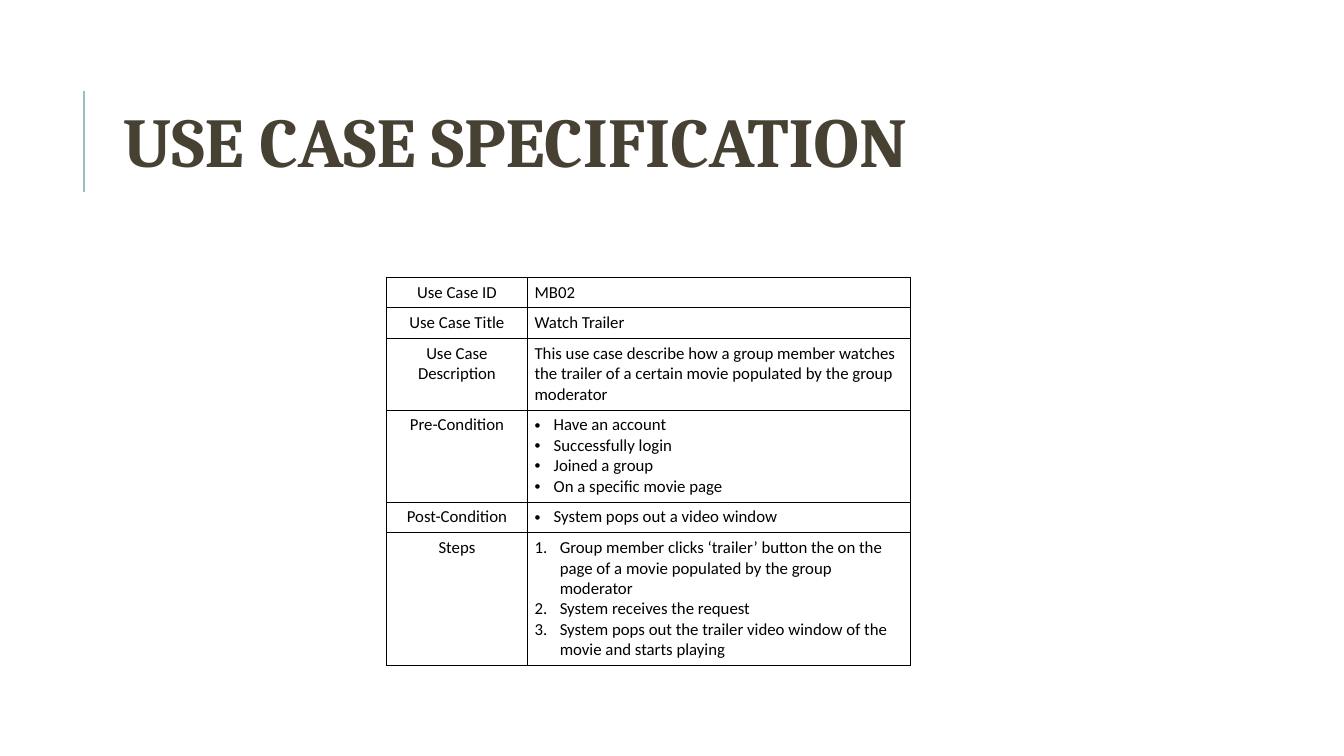
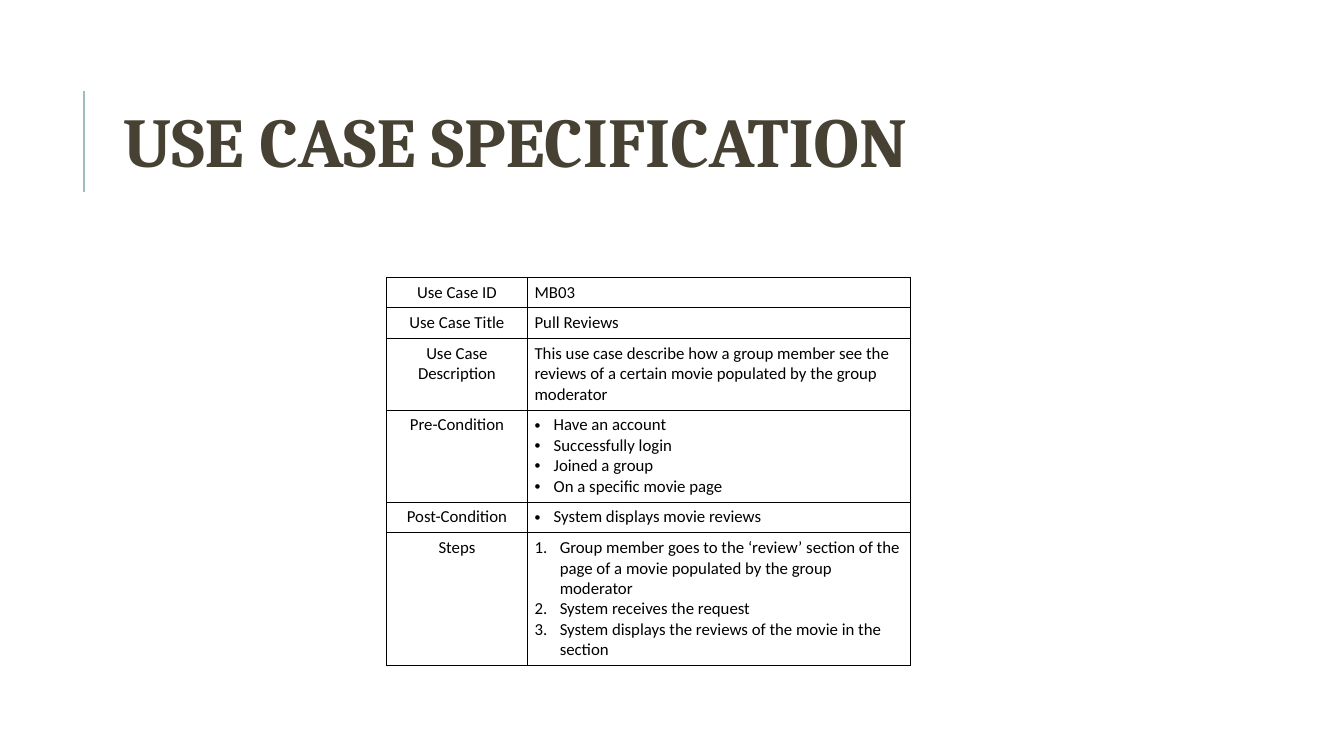
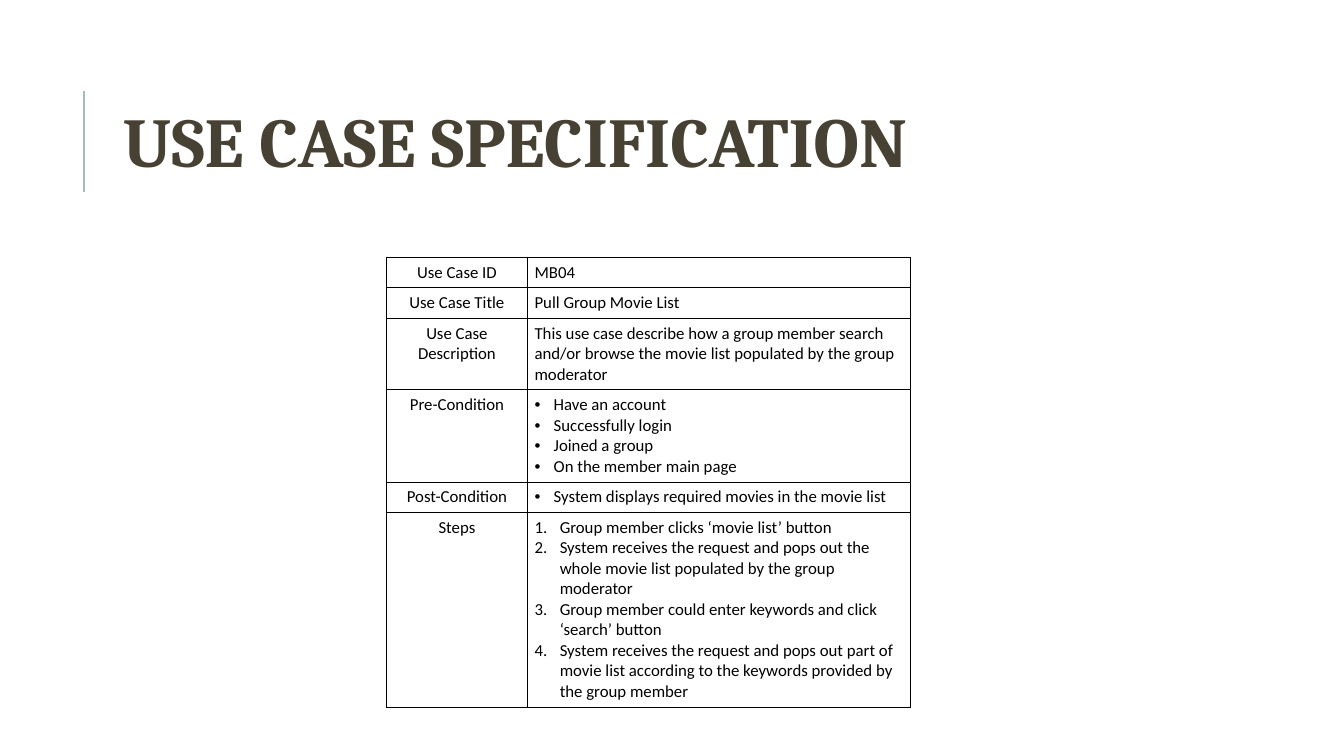
from dataclasses import dataclass

from lxml import etree
from pptx import Presentation
from pptx.dml.color import RGBColor
from pptx.enum.shapes import MSO_CONNECTOR
from pptx.enum.text import MSO_ANCHOR, MSO_AUTO_SIZE, PP_ALIGN
from pptx.oxml.ns import qn
from pptx.util import Inches, Pt

STRAIGHT = MSO_CONNECTOR.STRAIGHT
LEFT, CENTER = PP_ALIGN.LEFT, PP_ALIGN.CENTER
TOP, MIDDLE = MSO_ANCHOR.TOP, MSO_ANCHOR.MIDDLE
FIXED_SIZE = MSO_AUTO_SIZE.NONE


@dataclass(frozen=True)
class Theme:
    background: str = "FFFFFF"
    title_color: str = "464132"
    accent: str = "9CBEBD"
    ink: str = "000000"
    title_font: str = "Cambria"
    body_font: str = "Calibri"
    title_size: float = 50
    body_size: float = 12
    accent_width: float = 1.5
    border_width: float = 0.5


@dataclass(frozen=True)
class Box:
    """A region in grid units: columns across, rows down."""
    left: float
    top: float
    width: float
    height: float = 0

    def place(self):
        return [cells(n) for n in (self.left, self.top, self.width, self.height)]


THEME = Theme()

# The slide is 80 columns by 45 rows of square grid cells
COLUMNS, ROWS = 80, 45
CELL = Inches(7.5) / ROWS
TITLE_BOX = Box(6.72, 3.84, 63.78, 9.84)
RULE_BOX = Box(5, 5.4, 0, 6)
LABEL_WIDTH, VALUE_WIDTH = 8.4, 22.8
LINE_HEIGHT, ROW_PADDING = 1.2, 0.6

# List styles: bullet element, its attributes, hanging indent in inches
LISTS = {
    "bullet": ("a:buChar", {"char": "•"}, 0.19),
    "number": ("a:buAutoNum", {"type": "arabicPeriod"}, 0.25),
}

# Label, list style and number of text lines of each row; steps vary in length
FIELDS = [
    ("Use Case ID", None, 1),
    ("Use Case Title", None, 1),
    ("Use Case Description", None, 3),
    ("Pre-Condition", "bullet", 4),
    ("Post-Condition", "bullet", 1),
    ("Steps", "number", None),
]

SHARED_CONDITIONS = ["Have an account", "Successfully login", "Joined a group"]

# Table top, lines in the steps row, and the values by field
USE_CASES = [
    (16.5, 6, [
        ["MB02"],
        ["Watch Trailer"],
        ["This use case describe how a group member watches the trailer of "
         "a certain movie populated by the group moderator"],
        SHARED_CONDITIONS + ["On a specific movie page"],
        ["System pops out a video window"],
        ["Group member clicks ‘trailer’ button the on the page of a movie "
         "populated by the group moderator",
         "System receives the request",
         "System pops out the trailer video window of the movie and starts playing"],
    ]),
    (16.5, 6, [
        ["MB03"],
        ["Pull Reviews"],
        ["This use case describe how a group member see the reviews of "
         "a certain movie populated by the group moderator"],
        SHARED_CONDITIONS + ["On a specific movie page"],
        ["System displays movie reviews"],
        ["Group member goes to the ‘review’ section of the page of a movie "
         "populated by the group moderator",
         "System receives the request",
         "System displays the reviews of the movie in the section"],
    ]),
    (15.3, 9, [
        ["MB04"],
        ["Pull Group Movie List"],
        ["This use case describe how a group member search and/or browse "
         "the movie list populated by the group moderator"],
        SHARED_CONDITIONS + ["On the member main page"],
        ["System displays required movies in the movie list"],
        ["Group member clicks ‘movie list’ button",
         "System receives the request and pops out the whole movie list "
         "populated by the group moderator",
         "Group member could enter keywords and click ‘search’ button",
         "System receives the request and pops out part of movie list "
         "according to the keywords provided by the group member"],
    ]),
]


def cells(count):
    return round(count * CELL)


def color(value):
    return RGBColor.from_string(value)


def write(frame, lines, *, size=THEME.body_size, font=THEME.body_font,
          ink=THEME.ink, bold=False, align=LEFT, spacing=None, list_style=None):
    """Fill a text frame, one paragraph for each line."""
    for index, line in enumerate(lines):
        para = frame.add_paragraph() if index else frame.paragraphs[0]
        para.alignment = align
        para.line_spacing = spacing
        span = para.add_run()
        span.text = line
        span.font.size, span.font.name = Pt(size), font
        span.font.bold = bold
        span.font.color.rgb = color(ink)
        if list_style:
            add_list_mark(para, *LISTS[list_style])


def add_list_mark(para, tag, attributes, indent):
    properties = para._p.get_or_add_pPr()
    properties.set("marL", str(Inches(indent)))
    properties.set("indent", str(-Inches(indent)))
    mark_color = etree.SubElement(properties, qn("a:buClr"))
    etree.SubElement(mark_color, qn("a:srgbClr"), val=THEME.ink)
    etree.SubElement(properties, qn("a:buFont"), typeface="Arial" if tag == "a:buChar" else "+mj-lt")
    etree.SubElement(properties, qn(tag), attributes)


def style_cell(cell):
    """Give a cell its margins, no fill and a thin border on every side."""
    cell.margin_left = cell.margin_right = Inches(0.07)
    cell.margin_top = cell.margin_bottom = Inches(0.05)
    cell.vertical_anchor = TOP
    cell.fill.background()
    properties = cell._tc.get_or_add_tcPr()
    for position, side in enumerate(("a:lnL", "a:lnR", "a:lnT", "a:lnB")):
        border = etree.Element(qn(side), w=str(Pt(THEME.border_width)))
        fill = etree.SubElement(border, qn("a:solidFill"))
        etree.SubElement(fill, qn("a:srgbClr"), val=THEME.ink)
        properties.insert(position, border)


def add_heading(page, text, title_box, rule_box):
    # Accent rule beside the title
    left, top, _, height = rule_box.place()
    rule = page.shapes.add_connector(STRAIGHT, left, top + height, left, top)
    rule.line.color.rgb = color(THEME.accent)
    rule.line.width = Pt(THEME.accent_width)
    etree.SubElement(rule._element.spPr, qn("a:effectLst"))

    # Title placeholder
    title = page.shapes.title
    title.left, title.top, title.width, title.height = title_box.place()
    frame = title.text_frame
    frame.auto_size, frame.word_wrap = FIXED_SIZE, True
    frame.vertical_anchor = MIDDLE
    write(frame, [text], size=THEME.title_size, font=THEME.title_font,
          ink=THEME.title_color, bold=True, spacing=0.8)


def add_use_case_table(page, values, line_counts, box):
    table = page.shapes.add_table(len(FIELDS), 2, *box.place()).table
    table.first_row = table.horz_banding = False
    for column, share in zip(table.columns, (LABEL_WIDTH, VALUE_WIDTH)):
        column.width = cells(share)
    for index, (label, list_style, _) in enumerate(FIELDS):
        table.rows[index].height = cells(ROW_PADDING + LINE_HEIGHT * line_counts[index])
        label_cell, value_cell = table.cell(index, 0), table.cell(index, 1)
        style_cell(label_cell)
        style_cell(value_cell)
        write(label_cell.text_frame, [label], align=CENTER)
        write(value_cell.text_frame, values[index], list_style=list_style)


def add_use_case_slide(deck, top, step_lines, values):
    page = deck.slides.add_slide(deck.slide_layouts.get_by_name("Title Only"))
    add_heading(page, "USE CASE SPECIFICATION", TITLE_BOX, RULE_BOX)
    line_counts = [lines or step_lines for _, _, lines in FIELDS]
    height = ROW_PADDING * len(FIELDS) + LINE_HEIGHT * sum(line_counts)
    table_box = Box(23, top, LABEL_WIDTH + VALUE_WIDTH, height)
    add_use_case_table(page, values, line_counts, table_box)


def main():
    deck = Presentation()
    deck.slide_width, deck.slide_height = cells(COLUMNS), cells(ROWS)
    background = deck.slide_master.background.fill
    background.solid()
    background.fore_color.rgb = color(THEME.background)
    for use_case in USE_CASES:
        add_use_case_slide(deck, *use_case)
    deck.save("out.pptx")


if __name__ == "__main__":
    main()
